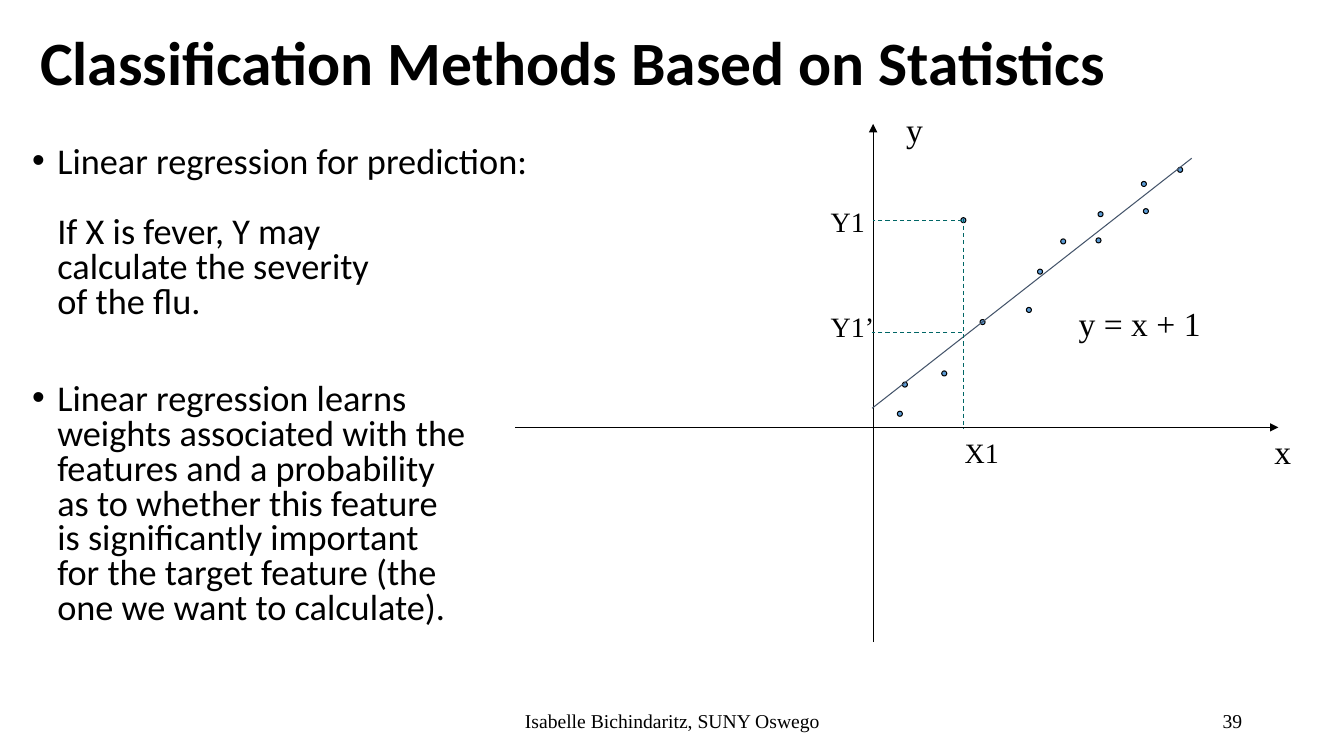
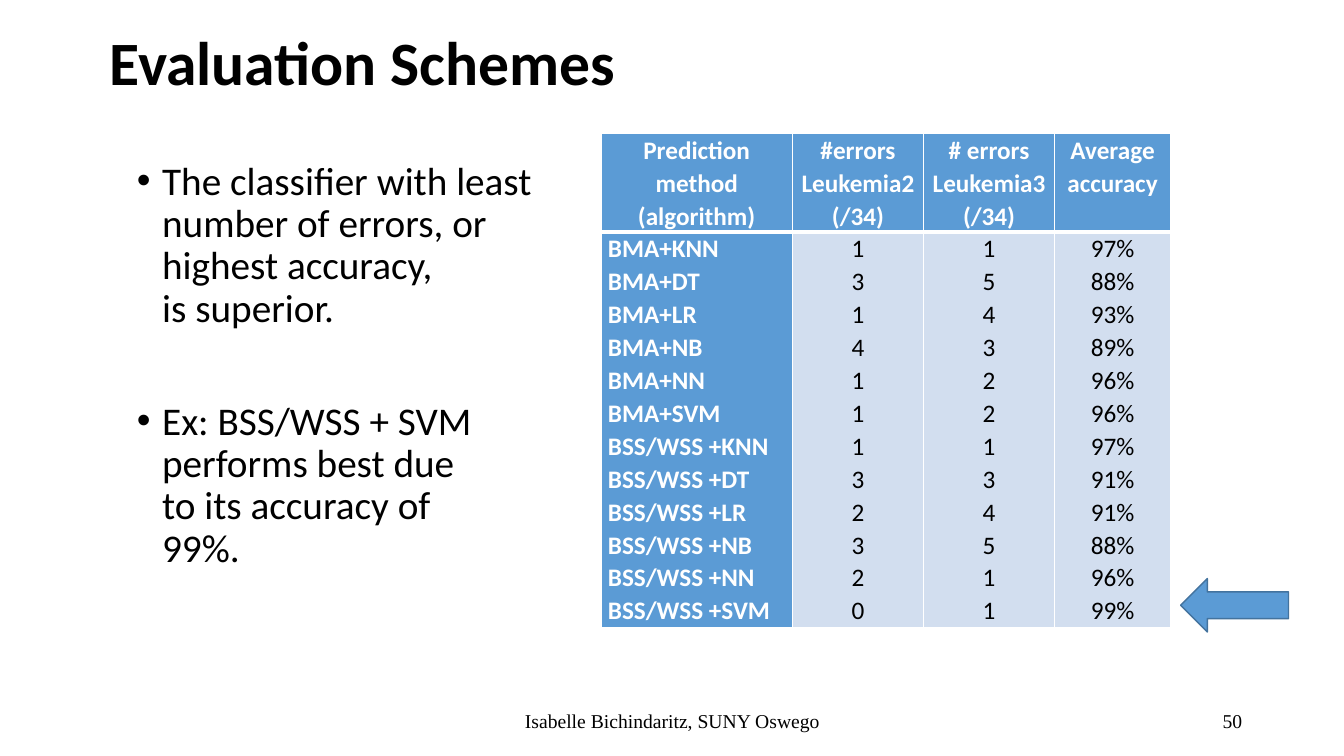
from lxml.etree import SubElement
from pptx import Presentation
from pptx.dml.color import RGBColor
from pptx.enum.dml import MSO_LINE
from pptx.enum.shapes import MSO_CONNECTOR, MSO_SHAPE
from pptx.enum.text import MSO_ANCHOR, PP_ALIGN
from pptx.oxml.ns import qn
from pptx.util import Inches, Pt

BLACK = RGBColor(0x00, 0x00, 0x00)
WHITE = RGBColor(0xFF, 0xFF, 0xFF)
BLUE = RGBColor(0x5B, 0x9B, 0xD5)
DARK_BLUE = RGBColor(0x43, 0x73, 0x9E)
PALE_BLUE = RGBColor(0xD2, 0xDE, 0xEF)
SLATE = RGBColor(0x44, 0x54, 0x6A)
TEAL = RGBColor(0x00, 0x66, 0x66)
SANS = "Calibri"
SERIF = "Times New Roman"


def write_text(text_frame, text, size, font=SANS, color=BLACK, bold=False,
               align=PP_ALIGN.LEFT, anchor=MSO_ANCHOR.TOP, wrap=True,
               line_spacing=1.0, space_before=(0,), bullets=None):
    """Fill a frame: newline starts a paragraph, vertical tab breaks a line.

    space_before holds points per paragraph, its last value repeating;
    bullets holds one flag per paragraph and switches on the hanging indent.
    """
    text_frame.text = text
    text_frame.word_wrap = wrap
    text_frame.vertical_anchor = anchor
    for index, paragraph in enumerate(text_frame.paragraphs):
        paragraph.alignment = align
        paragraph.line_spacing = line_spacing
        paragraph.space_before = Pt(space_before[min(index, len(space_before) - 1)])
        for run in paragraph.runs:
            run.font.name = font
            run.font.size = Pt(size)
            run.font.bold = bold
            run.font.color.rgb = color
        if bullets:
            properties = paragraph._p.get_or_add_pPr()
            properties.set("marL", str(Inches(0.25)))
            properties.set("indent", str(Inches(-0.25) if bullets[index] else 0))
            if bullets[index]:
                SubElement(properties, qn("a:buFont"), typeface="Arial")
                SubElement(properties, qn("a:buChar"), char="•")


def add_line(slide, start, end, color, dashed=False, arrow=False):
    line = slide.shapes.add_connector(
        MSO_CONNECTOR.STRAIGHT, *(Inches(value) for value in start + end))
    line.line.color.rgb = color
    line.line.width = Pt(0.75)
    if dashed:
        line.line.dash_style = MSO_LINE.DASH
    if arrow:
        SubElement(line.line._get_or_add_ln(), qn("a:tailEnd"), type="triangle")
    SubElement(line._element.spPr, qn("a:effectLst"))


presentation = Presentation()
presentation.slide_width = Inches(13.33)
presentation.slide_height = Inches(7.5)

# Titles and footers
slides = []
for title, title_left, title_width, number in [
    ("Classification Methods Based on Statistics", 0.3, 12.62, "39"),
    ("Evaluation Schemes", 0.99, 9.62, "50"),
]:
    slide = presentation.slides.add_slide(presentation.slide_layouts[6])
    slides.append(slide)
    title_box = slide.shapes.add_textbox(
        Inches(title_left), Inches(0), Inches(title_width), Inches(1.03))
    write_text(title_box.text_frame, title, 44, bold=True,
               anchor=MSO_ANCHOR.BOTTOM, line_spacing=0.9)
    for text, left, width, align in [
        ("Isabelle Bichindaritz, SUNY Oswego", 4.42, 4.5, PP_ALIGN.CENTER),
        (number, 9.42, 3, PP_ALIGN.RIGHT),
    ]:
        footer = slide.shapes.add_textbox(
            Inches(left), Inches(6.95), Inches(width), Inches(0.4))
        write_text(footer.text_frame, text, 14, font=SERIF, align=align,
                   anchor=MSO_ANCHOR.MIDDLE)
regression_slide, evaluation_slide = slides

# Linear regression
body = regression_slide.shapes.add_textbox(
    Inches(0.22), Inches(1.41), Inches(9.92), Inches(5.17))
write_text(
    body.text_frame,
    "Linear regression for prediction:\n"
    "If X is fever, Y may\vcalculate the severity\vof the flu.\n"
    "Linear regression learns\vweights associated with the\v"
    "features and a probability\vas to whether this feature\v"
    "is significantly important\vfor the target feature (the\v"
    "one we want to calculate).",
    25.9, line_spacing=0.8, space_before=(10, 25, 44.5),
    bullets=(True, False, True))

add_line(regression_slide, (5.11, 4.24), (12.68, 4.24), BLACK, arrow=True)
add_line(regression_slide, (8.66, 6.37), (8.66, 1.23), BLACK, arrow=True)

DOT_SIZE = Inches(0.05)
for left, top in [
    (10.18, 3.05), (9.72, 3.17), (9.53, 2.16), (9.34, 3.68), (10.29, 2.67),
    (10.52, 2.37), (8.95, 3.79), (10.87, 2.36), (10.89, 2.1), (11.34, 2.07),
    (8.9, 4.08), (11.32, 1.8), (11.68, 1.66),
]:
    dot = regression_slide.shapes.add_shape(
        MSO_SHAPE.OVAL, Inches(left), Inches(top), DOT_SIZE, DOT_SIZE)
    dot.shadow.inherit = False
    dot.fill.solid()
    dot.fill.fore_color.rgb = BLUE
    dot.line.color.rgb = BLACK
    dot.line.width = Pt(0.75)

add_line(regression_slide, (8.65, 4.05), (11.82, 1.57), SLATE)
for start, end in [
    ((9.56, 2.17), (9.56, 4.26)),
    ((9.54, 2.19), (8.66, 2.19)),
    ((9.54, 3.3), (8.65, 3.3)),
]:
    add_line(regression_slide, start, end, TEAL, dashed=True)

for text, left, top, width, height, size in [
    ("x", 12.54, 4.23, 0.37, 0.5, 24),
    ("y", 8.89, 1.03, 0.37, 0.5, 24),
    ("y = x + 1", 10.6, 2.96, 1.41, 0.5, 24),
    ("X1", 9.47, 4.27, 0.54, 0.43, 20),
    ("Y1", 8.14, 1.98, 0.54, 0.43, 20),
    ("Y1’", 8.14, 3.02, 0.63, 0.43, 20),
]:
    label = regression_slide.shapes.add_textbox(
        Inches(left), Inches(top), Inches(width), Inches(height))
    write_text(label.text_frame, text, size, font=SERIF, wrap=False)

# Evaluation schemes
headers = ["Prediction method (algorithm)", "#errors\nLeukemia2\n(/34)",
           "# errors\nLeukemia3\n(/34)", "Average accuracy"]
results = [
    ("BMA+KNN", "1", "1", "97%"),
    ("BMA+DT", "3", "5", "88%"),
    ("BMA+LR", "1", "4", "93%"),
    ("BMA+NB", "4", "3", "89%"),
    ("BMA+NN", "1", "2", "96%"),
    ("BMA+SVM", "1", "2", "96%"),
    ("BSS/WSS +KNN", "1", "1", "97%"),
    ("BSS/WSS +DT", "3", "3", "91%"),
    ("BSS/WSS +LR", "2", "4", "91%"),
    ("BSS/WSS +NB", "3", "5", "88%"),
    ("BSS/WSS +NN", "2", "1", "96%"),
    ("BSS/WSS +SVM", "0", "1", "99%"),
]
table_rows = [headers, ["\n".join(column) for column in zip(*results)]]

table = evaluation_slide.shapes.add_table(
    2, 4, Inches(5.96), Inches(1.32), Inches(5.65), Inches(4.91)).table
table.horz_banding = False
for column, width in zip(table.columns, (1.9, 1.3, 1.3, 1.15)):
    column.width = Inches(width)
for row, height in zip(table.rows, (0.98, 3.93)):
    row.height = Inches(height)

for row_index, texts in enumerate(table_rows):
    for column_index, text in enumerate(texts):
        is_header = row_index == 0
        is_method = column_index == 0
        is_blue = is_header or is_method
        cell = table.cell(row_index, column_index)
        cell.margin_left = cell.margin_right = Inches(0.07)
        cell.margin_top = cell.margin_bottom = 0
        write_text(cell.text_frame, text, 18, bold=is_blue,
                   color=WHITE if is_blue else BLACK, line_spacing=1.07,
                   align=PP_ALIGN.LEFT if is_method and not is_header
                   else PP_ALIGN.CENTER)
        # The rule between the header and the results is thicker
        thick_side = "B" if is_header else "T"
        for side in "LRTB":
            border = SubElement(cell._tc.get_or_add_tcPr(), qn(f"a:ln{side}"),
                                w=str(Pt(3 if side == thick_side else 1)))
            fill = SubElement(border, qn("a:solidFill"))
            SubElement(fill, qn("a:srgbClr"), val=str(WHITE))
        cell.fill.solid()
        cell.fill.fore_color.rgb = BLUE if is_blue else PALE_BLUE

body = evaluation_slide.shapes.add_textbox(
    Inches(1.26), Inches(1.55), Inches(9.92), Inches(5.17))
write_text(
    body.text_frame,
    "The classifier with least\vnumber of errors, or\vhighest accuracy,\v"
    "is superior.\n"
    "Ex: BSS/WSS + SVM\vperforms best due\vto its accuracy of\v99%.",
    28, line_spacing=0.9, space_before=(10, 50.5), bullets=(True, True))

arrow = evaluation_slide.shapes.add_shape(
    MSO_SHAPE.LEFT_ARROW, Inches(11.71), Inches(5.74), Inches(1.07), Inches(0.53))
arrow.shadow.inherit = False
arrow.fill.solid()
arrow.fill.fore_color.rgb = BLUE
arrow.line.color.rgb = DARK_BLUE
arrow.line.width = Pt(1)

presentation.save("out.pptx")
